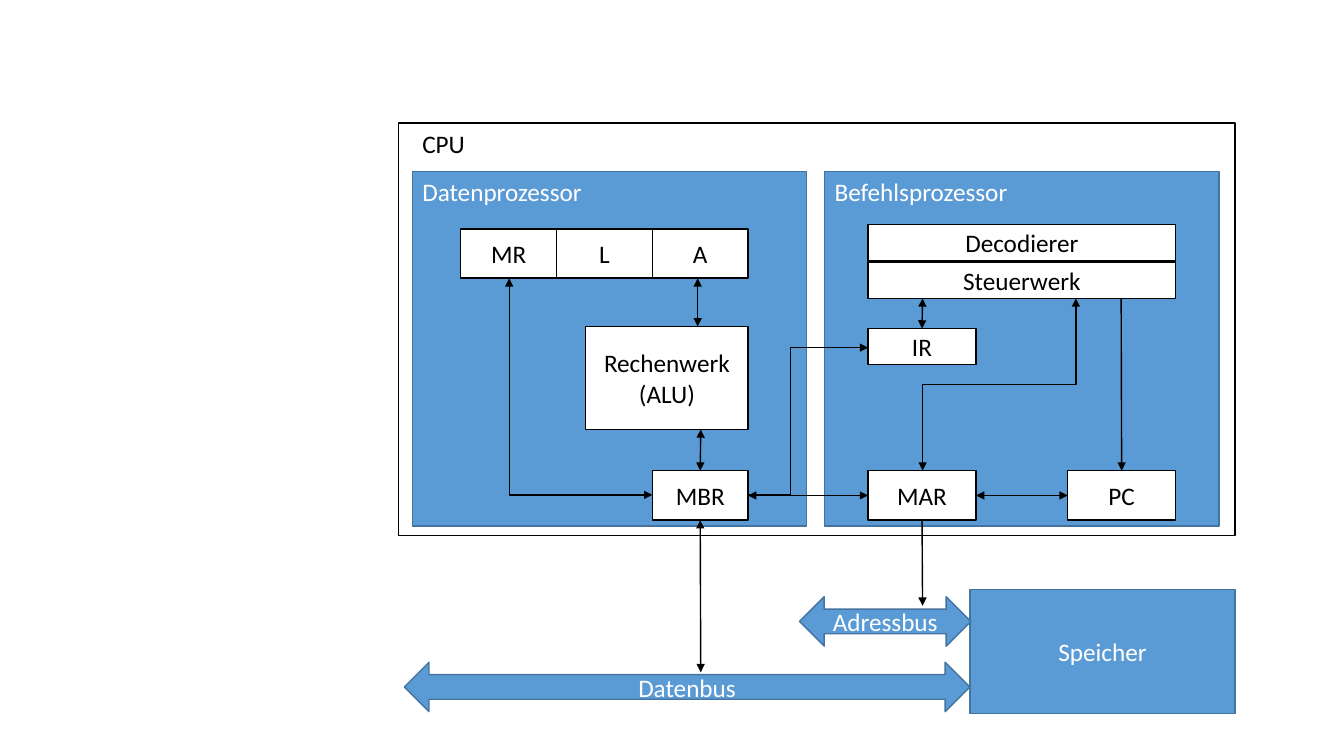
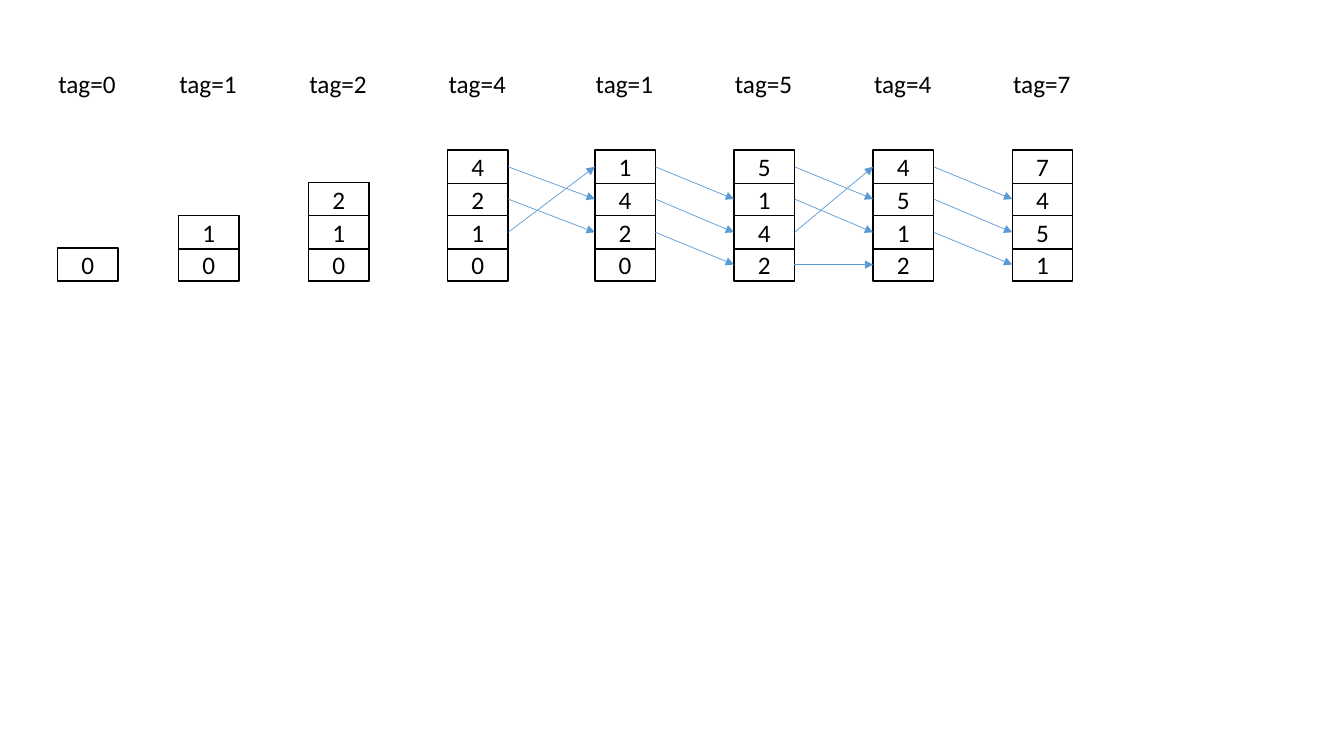
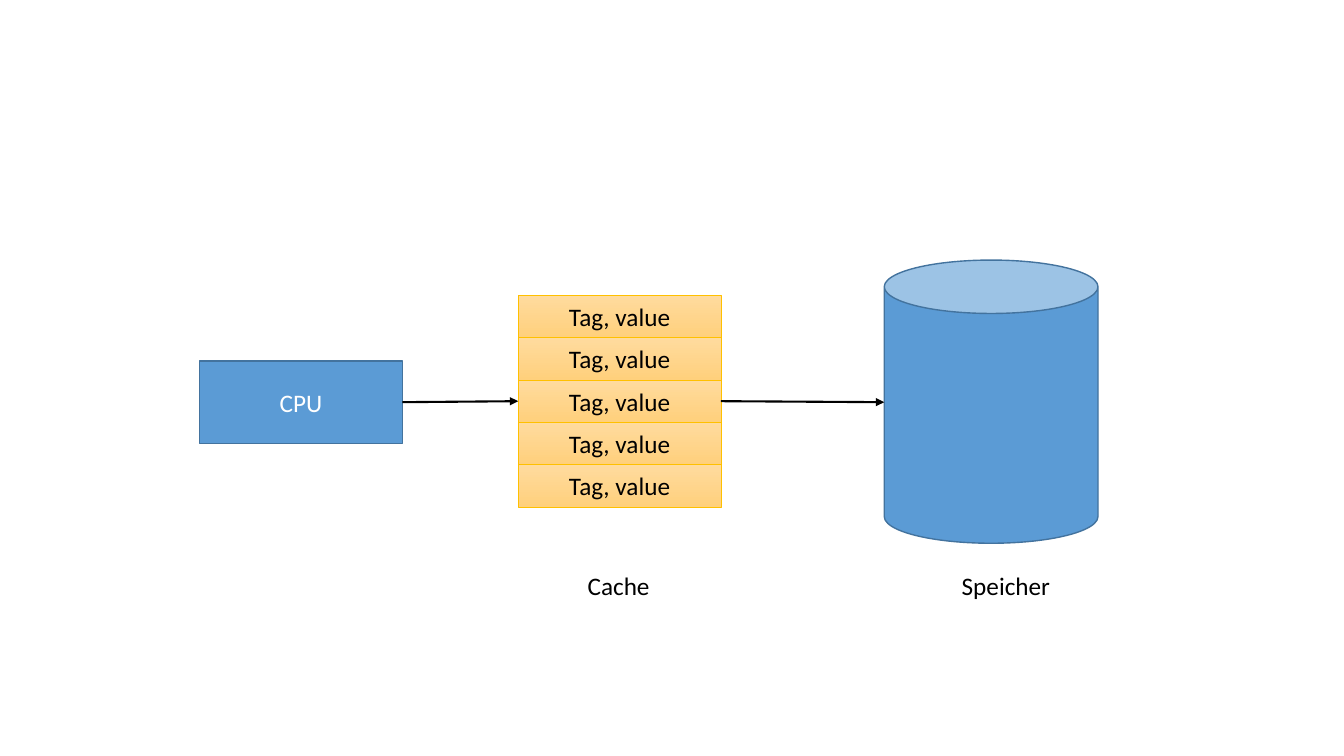
"""Build three diagrams: a CPU, LRU cache stacks and a cache in front of memory."""
from lxml.etree import SubElement
from pptx import Presentation
from pptx.dml.color import RGBColor
from pptx.enum.shapes import MSO_CONNECTOR as CONN, MSO_SHAPE as SHAPE
from pptx.enum.text import MSO_ANCHOR as ANCHOR, MSO_AUTO_SIZE as AUTO, PP_ALIGN as ALIGN
from pptx.oxml.ns import qn
from pptx.util import Pt

PX = 9144
FONT, SIZE = "Calibri", 18
WHITE, BLACK, BLUE, NAVY = "FFFFFF", "000000", "5B9BD5", "43739E"
GOLD, GOLD_TOP, GOLD_BOTTOM = "FFC000", "FFDB9E", "FFD07C"
PLAIN, SOLID = (WHITE, BLACK), (BLUE, NAVY)

CPU_FRAME = (395, 122, 830, 409)
PROCESSORS = [(409, 170, 391, 352), (818, 170, 391, 352)]
CPU_LABELS = [("CPU", (409, 122, 63, 40), BLACK),
              ("Datenprozessor", (409, 170, 180, 40), WHITE),
              ("Befehlsprozessor", (818, 170, 193, 40), WHITE)]
UNITS = {
    "MR": (457, 227, 95, 49), "L": (552, 227, 95, 49), "A": (647, 227, 95, 49),
    "Rechenwerk\n(ALU)": (581, 324, 161, 102), "MBR": (647, 467, 95, 49),
    "Decodierer": (861, 223, 305, 36), "Steuerwerk": (861, 260, 305, 36),
    "IR": (861, 326, 107, 36), "MAR": (861, 467, 107, 49), "PC": (1059, 467, 107, 49),
}
MEMORY = [("Speicher", (962, 585, 263, 123), SHAPE.RECTANGLE),
          ("Datenbus", (401, 657, 561, 49), SHAPE.LEFT_RIGHT_ARROW),
          ("Adressbus", (793, 592, 170, 49), SHAPE.LEFT_RIGHT_ARROW)]
WIRES = [((692, 276), (692, 324), True), ((695, 426), ("MBR", 0), True),
         (("MBR", 3), ("MAR", 1), True), (("MAR", 3), ("PC", 1), True),
         (("IR", 0), (915, 296), True), ((1112, 296), ("PC", 0), False),
         (("MAR", 2), (915, 601), False), (("MBR", 2), (695, 667), True)]
ELBOWS = [((505, 276), (647, 491), -1, None, True),
          ((915, 467), (1067, 296), 1, 50000, True),
          ((742, 491), (861, 345), 0, 35400, False)]

STACKS = [(57, "0"), (177, "01"), (306, "012"), (444, "0124"),
          (590, "0241"), (728, "2415"), (866, "2154"), (1004, "1547")]
FIRST_LINKED, UNLINKED = 3, "0"
CELL_W, CELL_H, BASE_Y, TWO_ROWS = 60, 33, 246, 65

CACHE_ROWS = ["Tag, value"] * 5
CACHE_X, CACHE_Y, CACHE_W, CACHE_H = 514, 293, 201, 42
CAPTIONS = [("Cache", (573, 561, 180, 40)), ("Speicher", (944, 561, 180, 40))]


def px(*values):
    return [round(v * PX) for v in values]


def rgb(color):
    return RGBColor.from_string(color)


def write(tf, text, color, align):
    for i, part in enumerate(text.split("\n")):
        p = tf.add_paragraph() if i else tf.paragraphs[0]
        p.alignment = align
        r = p.add_run()
        r.text = part
        r.font.name, r.font.size = FONT, Pt(SIZE)
        r.font.color.rgb = rgb(color)


def box(s, at, colors, text="", kind=SHAPE.RECTANGLE, width=1):
    fill, line = colors
    sp = s.shapes.add_shape(kind, *px(*at))
    sp.shadow.inherit = False
    if isinstance(fill, tuple):
        sp.fill.gradient()
        sp.fill.gradient_angle = 270
        for stop, color in zip(sp.fill.gradient_stops, fill):
            stop.color.rgb = rgb(color)
    else:
        sp.fill.solid()
        sp.fill.fore_color.rgb = rgb(fill)
    sp.line.color.rgb, sp.line.width = rgb(line), Pt(width)
    if text:
        sp.text_frame.vertical_anchor = ANCHOR.MIDDLE
        write(sp.text_frame, text, WHITE if fill == BLUE else BLACK, ALIGN.CENTER)
    return sp


def label(s, text, at, color=BLACK, wrap=False):
    tf = s.shapes.add_textbox(*px(*at)).text_frame
    tf.word_wrap, tf.auto_size = wrap, AUTO.SHAPE_TO_FIT_TEXT
    write(tf, text, color, ALIGN.LEFT)


def style(c, color, width, both):
    c.line.color.rgb, c.line.width = rgb(color), Pt(width)
    sp_pr = c.element.spPr
    ln = sp_pr.find(qn("a:ln"))
    for end in ["headEnd", "tailEnd"] if both else ["tailEnd"]:
        SubElement(ln, qn("a:" + end)).set("type", "triangle")
    SubElement(sp_pr, qn("a:effectLst"))


def arrow(s, a, b, color=BLACK, width=1, both=False):
    c = s.shapes.add_connector(CONN.STRAIGHT, 0, 0, 0, 0)
    if isinstance(a[0], int):
        c.begin_x, c.begin_y = px(*a)
    else:
        c.begin_connect(*a)
    if isinstance(b[0], int):
        c.end_x, c.end_y = px(*b)
    else:
        c.end_connect(*b)
    style(c, color, width, both)


def elbow(s, a, b, turn, bend, both):
    mx, my = (a[0] + b[0]) / 2, (a[1] + b[1]) / 2
    dx, dy = (b[0] - a[0]) / 2, (b[1] - a[1]) / 2
    if turn:
        dx, dy = turn * dy, -turn * dx
    c = s.shapes.add_connector(CONN.ELBOW, *px(mx - dx, my - dy, mx + dx, my + dy))
    sp_pr = c.element.spPr
    if turn:
        sp_pr.find(qn("a:xfrm")).set("rot", str(turn * 90 % 360 * 60000))
    geom = sp_pr.find(qn("a:prstGeom"))
    if bend is None:
        geom.set("prst", "bentConnector2")
    else:
        gd = SubElement(geom.find(qn("a:avLst")), qn("a:gd"))
        gd.set("name", "adj1")
        gd.set("fmla", f"val {bend}")
    style(c, BLACK, 1, both)


def cpu_slide(s):
    box(s, CPU_FRAME, PLAIN)
    for at in PROCESSORS:
        box(s, at, SOLID)
    for text, at, color in CPU_LABELS:
        label(s, text, at, color)
    units = {name: box(s, at, PLAIN, name) for name, at in UNITS.items()}
    for text, at, kind in MEMORY:
        box(s, at, SOLID, text, kind)
    for a, b, both in WIRES:
        a, b = [(units.get(end[0], end[0]), end[1]) for end in (a, b)]
        arrow(s, a, b, both=both)
    for bent in ELBOWS:
        elbow(s, *bent)


def stack_slide(s):
    cells = []
    for x, values in STACKS:
        label(s, "tag=" + values[-1], (x - 9, 63, 78, 40))
        cells.append({v: box(s, (x, BASE_Y - TWO_ROWS * k // 2, CELL_W, CELL_H), PLAIN, v)
                      for k, v in enumerate(values)})
    linked = cells[FIRST_LINKED:]
    for before, after in zip(linked, linked[1:]):
        for v, cell in before.items():
            if v in after and v != UNLINKED:
                arrow(s, (cell, 3), (after[v], 1), BLUE, 0.5)


def cache_slide(s):
    cpu = box(s, (198, 358, 201, 82), SOLID, "CPU")
    rows = [box(s, (CACHE_X, CACHE_Y + i * CACHE_H, CACHE_W, CACHE_H),
                ((GOLD_TOP, GOLD_BOTTOM), GOLD), text, width=0.5)
            for i, text in enumerate(CACHE_ROWS)]
    box(s, (877, 258, 212, 281), SOLID, kind=SHAPE.CAN)
    middle = rows[len(rows) // 2]
    arrow(s, (cpu, 3), (middle, 1), width=1.5)
    arrow(s, (middle, 3), (877, 399), width=1.5)
    for text, at in CAPTIONS:
        label(s, text, at, wrap=True)


def main():
    prs = Presentation()
    prs.slide_width, prs.slide_height = px(1333, 750)
    for draw in (cpu_slide, stack_slide, cache_slide):
        draw(prs.slides.add_slide(prs.slide_layouts[6]))
    prs.save("out.pptx")


if __name__ == "__main__":
    main()
